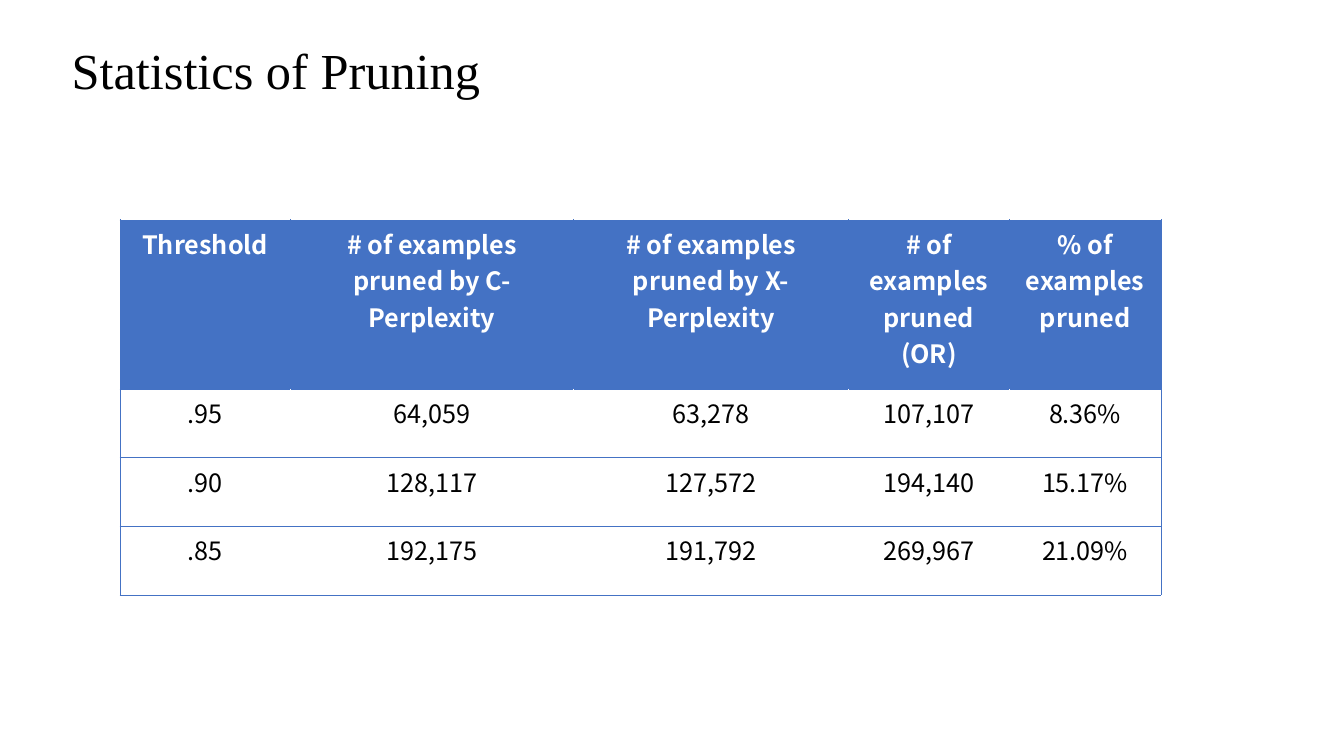
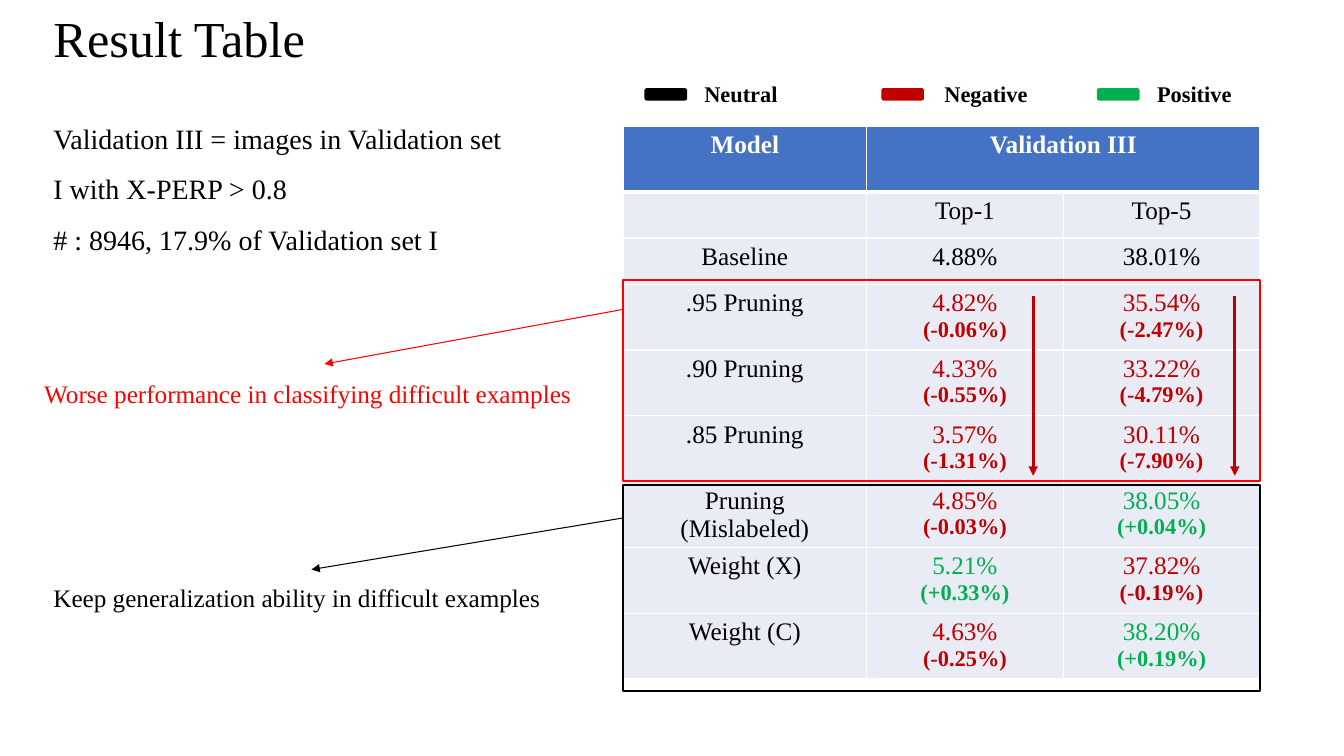
from dataclasses import dataclass

from lxml.etree import SubElement
from pptx import Presentation
from pptx.dml.color import RGBColor
from pptx.enum.shapes import MSO_CONNECTOR, MSO_SHAPE
from pptx.enum.text import MSO_ANCHOR, MSO_AUTO_SIZE, PP_ALIGN
from pptx.oxml import parse_xml
from pptx.oxml.ns import nsdecls, qn
from pptx.util import Pt


@dataclass(frozen=True)
class Theme:
    serif: str = "Times New Roman"
    sans: str = "Noto Sans CJK SC"
    black: str = "000000"
    white: str = "FFFFFF"
    header: str = "4472C4"
    band: str = "E9EBF5"
    negative: str = "C00000"
    positive: str = "00B050"
    alert: str = "FF0000"
    title_size: float = 36
    note_size: float = 20
    text_size: float = 18
    small_size: float = 16


THEME = Theme()

PRUNING_HEADER = ["Threshold", "# of examples pruned by C-Perplexity",
                  "# of examples pruned by X-Perplexity",
                  "# of examples pruned (OR)", "% of examples pruned"]
PRUNING_ROWS = [
    [".95", "64,059", "63,278", "107,107", "8.36%"],
    [".90", "128,117", "127,572", "194,140", "15.17%"],
    [".85", "192,175", "191,792", "269,967", "21.09%"],
]

# Each cell is a list of lines; a second line in brackets is a change.
RESULT_ROWS = [
    [[], ["Top-1"], ["Top-5"]],
    [["Baseline"], ["4.88%"], ["38.01%"]],
    [[".95 Pruning"], ["4.82%", "(-0.06%)"], ["35.54%", "(-2.47%)"]],
    [[".90 Pruning"], ["4.33%", "(-0.55%)"], ["33.22%", "(-4.79%)"]],
    [[".85 Pruning"], ["3.57%", "(-1.31%)"], ["30.11%", "(-7.90%)"]],
    [["Pruning", "(Mislabeled)"], ["4.85%", "(-0.03%)"], ["38.05%", "(+0.04%)"]],
    [["Weight (X)"], ["5.21%", "(+0.33%)"], ["37.82%", "(-0.19%)"]],
    [["Weight (C)"], ["4.63%", "(-0.25%)"], ["38.20%", "(+0.19%)"]],
]


def rgb(color):
    return RGBColor.from_string(color)


def write_lines(frame, lines, size=THEME.text_size, color=THEME.black, bold=False,
                font=THEME.serif, align=PP_ALIGN.LEFT, spacing=None):
    """Append lines to a frame, using its empty first paragraph first."""
    for line in lines:
        para = frame.paragraphs[0]
        if para.runs:
            para = frame.add_paragraph()
        para.alignment = align
        if spacing:
            para.line_spacing = spacing
        span = para.add_run()
        span.text = line
        span.font.name = font
        span.font.size = Pt(size)
        span.font.bold = bold
        span.font.color.rgb = rgb(color)


def add_page(deck, title, left, top):
    page = deck.slides.add_slide(deck.slide_layouts[5])
    box = page.shapes.title
    box.left, box.top, box.width, box.height = Pt(left), Pt(top), Pt(828), Pt(104.4)
    box.text_frame.vertical_anchor = MSO_ANCHOR.MIDDLE
    write_lines(box.text_frame, [title], THEME.title_size, spacing=0.9)
    return page


def add_text(page, left, top, width, height, lines, **style):
    box = page.shapes.add_textbox(Pt(left), Pt(top), Pt(width), Pt(height))
    box.text_frame.word_wrap = True
    box.text_frame.auto_size = MSO_AUTO_SIZE.SHAPE_TO_FIT_TEXT
    write_lines(box.text_frame, lines, **style)


def add_box(page, kind, left, top, width, height, line, weight, fill=None):
    box = page.shapes.add_shape(kind, Pt(left), Pt(top), Pt(width), Pt(height))
    box.shadow.inherit = False
    if fill:
        box.fill.solid()
        box.fill.fore_color.rgb = rgb(fill)
    else:
        box.fill.background()
    box.line.color.rgb = rgb(line)
    box.line.width = Pt(weight)


def add_arrow(page, start, end, color, weight):
    arrow = page.shapes.add_connector(MSO_CONNECTOR.STRAIGHT, *map(Pt, start + end))
    arrow.line.color.rgb = rgb(color)
    arrow.line.width = Pt(weight)
    SubElement(arrow.line._get_or_add_ln(), qn("a:tailEnd"), type="triangle")
    SubElement(arrow._element.spPr, qn("a:effectLst"))


def add_grid(page, left, top, widths, heights):
    frame = page.shapes.add_table(len(heights), len(widths), Pt(left), Pt(top),
                                  Pt(sum(widths)), Pt(sum(heights)))
    grid = frame.table
    for column, width in zip(grid.columns, widths):
        column.width = Pt(width)
    for row, height in zip(grid.rows, heights):
        row.height = Pt(height)
    return grid


def style_cell(cell, fill, borders):
    """Fill a cell and draw its (colour, weight) borders: left, right, top, bottom."""
    cell.margin_bottom = 0
    cell.fill.solid()
    cell.fill.fore_color.rgb = rgb(fill)
    properties = cell._tc.get_or_add_tcPr()
    for place, (side, (color, weight)) in enumerate(zip("LRTB", borders)):
        properties.insert(place, parse_xml(
            f'<a:ln{side} {nsdecls("a")} w="{Pt(weight)}"><a:solidFill>'
            f'<a:srgbClr val="{color}"/></a:solidFill></a:ln{side}>'))


def add_pruning_table(page):
    widths = [121.7, 202.3, 196.6, 114.5, 108.7]
    grid = add_grid(page, 85.7, 157, widths, [121] + [49] * len(PRUNING_ROWS))
    edge = (THEME.header, 0.5)
    for row, texts in enumerate([PRUNING_HEADER] + PRUNING_ROWS):
        head = row == 0
        fill = THEME.header if head else THEME.white
        inner = (fill, 0.5)
        for column, text in enumerate(texts):
            cell = grid.cell(row, column)
            left = edge if column == 0 else inner
            right = edge if column == len(texts) - 1 else inner
            style_cell(cell, fill, [left, right, edge, edge])
            write_lines(cell.text_frame, [text], font=THEME.sans, bold=head,
                        color=THEME.white if head else THEME.black,
                        align=PP_ALIGN.CENTER)


def write_result(frame, lines):
    """Write a label, or a score with its change coloured by sign."""
    if lines and lines[-1].startswith(("(-", "(+")):
        score, change = lines
        color = THEME.negative if "-" in change else THEME.positive
        write_lines(frame, [score], color=color, align=PP_ALIGN.CENTER)
        write_lines(frame, [change], THEME.small_size, color, True,
                    align=PP_ALIGN.CENTER)
    else:
        write_lines(frame, lines, align=PP_ALIGN.CENTER)


def add_result_table(page):
    grid = add_grid(page, 445, 90, [174, 140.5, 140.5], [47, 33, 33] + [47] * 6)
    thin, thick = (THEME.white, 1), (THEME.white, 3)
    for column in range(3):
        style_cell(grid.cell(0, column), THEME.header, [thin, thin, thin, thick])
    grid.cell(0, 1).merge(grid.cell(0, 2))
    for column, text in enumerate(["Model", "Validation III"]):
        write_lines(grid.cell(0, column).text_frame, [text], color=THEME.white,
                    bold=True, align=PP_ALIGN.CENTER)
    for row, entries in enumerate(RESULT_ROWS, 1):
        above = thick if row == 1 else thin
        for column, lines in enumerate(entries):
            cell = grid.cell(row, column)
            style_cell(cell, THEME.band, [thin, thin, above, thin])
            write_result(cell.text_frame, lines)


def add_legend(page):
    for text, color, swatch_left, label_left in [
            ("Neutral", THEME.black, 460.8, 496),
            ("Negative", THEME.negative, 630, 667.5),
            ("Positive", THEME.positive, 784, 819.4)]:
        add_box(page, MSO_SHAPE.ROUNDED_RECTANGLE, swatch_left, 63.4, 29.5, 8,
                color, 1, fill=color)
        add_text(page, label_left, 54, 94.3, 26.6, [text],
                 size=THEME.small_size, bold=True)


def add_finding(page, text, color, left, top, frame_top, frame_height, start_y, tip):
    """Frame a group of result rows and point from it to a remark."""
    add_box(page, MSO_SHAPE.RECTANGLE, 445, frame_top, 455, frame_height, color, 1.5)
    add_arrow(page, (445, start_y), tip, color, 0.75)
    add_text(page, left, top, 401.8, 36, [text], color=color, spacing=1.5)


def main():
    deck = Presentation()
    deck.slide_width, deck.slide_height = Pt(960), Pt(540)

    page = add_page(deck, "Statistics of Pruning", 44, 0)
    add_pruning_table(page)

    page = add_page(deck, "Result Table", 31, -23)
    add_result_table(page)
    add_legend(page)
    add_text(page, 31, 71.3, 345.6, 140.4,
             ["Validation III = images in Validation set I with X-PERP > 0.8",
              "# : 8946, 17.9% of Validation set I"],
             size=THEME.note_size, spacing=1.5)
    add_finding(page, "Worse performance in classifying difficult examples",
                THEME.alert, 24.5, 255.6, 200, 143.3, 221, (231.8, 260))
    add_finding(page, "Keep generalization ability in difficult examples",
                THEME.black, 31, 401.8, 346.3, 147, 370, (222.5, 406.8))
    for x in (738, 882):
        add_arrow(page, (x, 211.7), (x, 339.8), THEME.negative, 2.25)

    deck.save("out.pptx")


if __name__ == "__main__":
    main()
